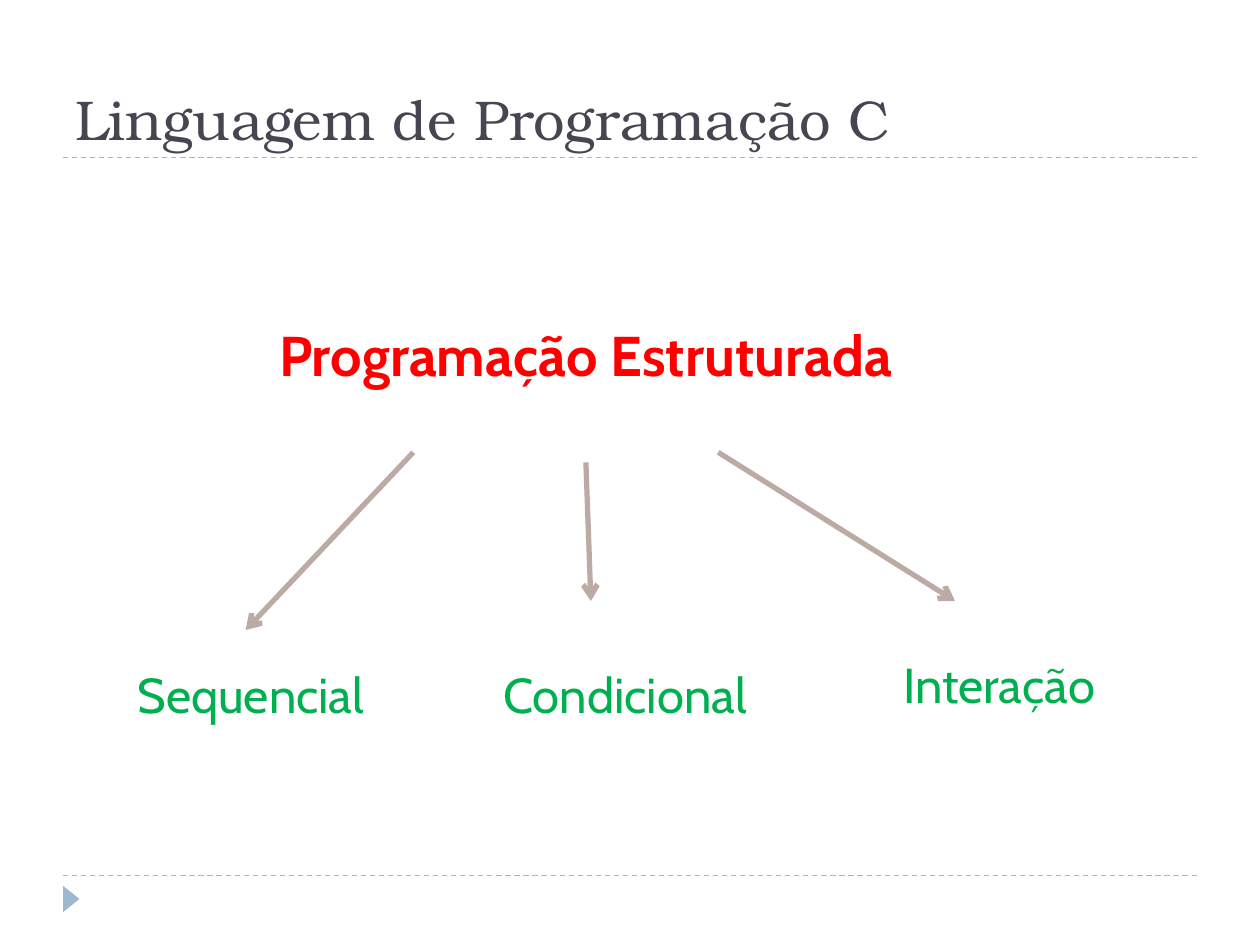
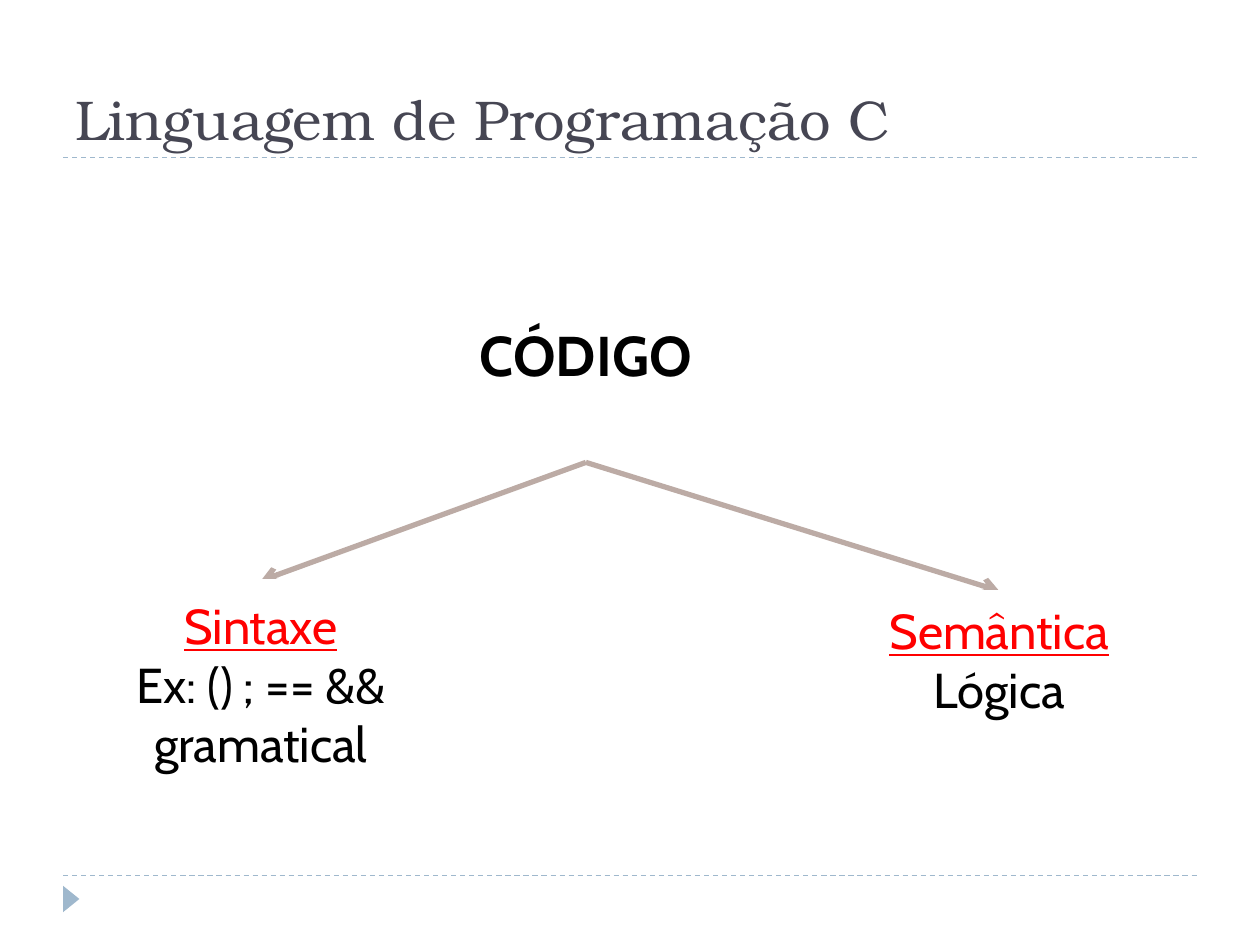
from lxml import etree
from pptx import Presentation
from pptx.dml.color import RGBColor
from pptx.enum.dml import MSO_LINE
from pptx.enum.shapes import MSO_CONNECTOR, MSO_SHAPE
from pptx.enum.text import MSO_ANCHOR, PP_ALIGN
from pptx.oxml.ns import qn
from pptx.util import Inches, Pt

STRAIGHT = MSO_CONNECTOR.STRAIGHT
RECTANGLE, TRIANGLE = MSO_SHAPE.RECTANGLE, MSO_SHAPE.ISOSCELES_TRIANGLE
DASH = MSO_LINE.DASH
BOTTOM, MIDDLE = MSO_ANCHOR.BOTTOM, MSO_ANCHOR.MIDDLE
LEFT, CENTER = PP_ALIGN.LEFT, PP_ALIGN.CENTER

WHITE, BLACK, RED, GREEN = "FFFFFF", "000000", "FF0000", "00B050"
TITLE_COLOR, RULE_COLOR, ARROW_COLOR = "464653", "9FB8CD", "BCABA5"
TITLE_FONT, BODY_FONT = "TeX Gyre Bonum", "Cabin"
TITLE = "Linguagem de Programação C"
BOX_WIDTH = 2.58


def rgb(value):
    return RGBColor.from_string(value)


class Deck:
    """Builds the slides of the deck in one shared style."""

    def __init__(self):
        self.prs = Presentation()
        self.prs.slide_width, self.prs.slide_height = Inches(10), Inches(7.5)
        self.s = None

    def slide(self, heading, color):
        self.s = self.prs.slides.add_slide(self.prs.slide_layouts[6])
        for y in (6.95, 1.25):
            self.line((0.5, y), (9.5, y), RULE_COLOR, 0.75).line.dash_style = DASH
        self.marker()
        self.title()
        self.box(1.25, 1.95, 6.8, 1.72, [(heading, color)], size=32, bold=True)

    def line(self, start, end, color, width):
        cx = self.s.shapes.add_connector(STRAIGHT, *map(Inches, start + end))
        cx.line.color.rgb = rgb(color)
        cx.line.width = Pt(width)
        etree.SubElement(cx._element.spPr, qn("a:effectLst"))
        return cx

    def arrow(self, start, end):
        cx = self.line(start, end, ARROW_COLOR, 3)
        etree.SubElement(cx.line._get_or_add_ln(), qn("a:tailEnd"), type="arrow")

    def shape(self, kind, x, y, w, h, fill):
        sp = self.s.shapes.add_shape(kind, *map(Inches, (x, y, w, h)))
        sp.shadow.inherit = False
        sp.fill.solid()
        sp.fill.fore_color.rgb = rgb(fill)
        return sp

    def marker(self):
        sp = self.shape(TRIANGLE, 0.46, 7.07, 0.21, 0.13, RULE_COLOR)
        sp.line.fill.background()
        sp.rotation = 90

    def title(self):
        sp = self.s.shapes.add_textbox(*map(Inches, (0.5, 0.17, 9, 1.08)))
        self.text(sp, [(TITLE, TITLE_COLOR)], 32, TITLE_FONT, LEFT, BOTTOM)

    def box(self, x, y, w, h, lines, size=28, bold=False):
        sp = self.shape(RECTANGLE, x, y, w, h, WHITE)
        sp.line.color.rgb = rgb(WHITE)
        sp.line.width = Pt(1.5)
        self.text(sp, lines, size, BODY_FONT, CENTER, MIDDLE, bold)

    def text(self, sp, lines, size, font, align, anchor, bold=False):
        tf = sp.text_frame
        tf.word_wrap = True
        tf.vertical_anchor = anchor
        tf.text = "\n".join(text for text, _ in lines)
        for p, (_, color) in zip(tf.paragraphs, lines):
            p.alignment = align
            r = p.runs[0]
            r.font.name, r.font.size, r.font.bold = font, Pt(size), bold
            r.font.color.rgb = rgb(color)
            r.font.underline = len(lines) > 1 and color == RED


deck = Deck()

deck.slide("Programação Estruturada", RED)
deck.arrow((5.7, 3.59), (7.58, 4.77))
deck.arrow((3.28, 3.59), (1.95, 5))
deck.arrow((4.65, 3.67), (4.69, 4.77))
structures = [("Sequencial", 5.08), ("Condicional", 5.08), ("Interação", 5)]
for i, (name, y) in enumerate(structures):
    deck.box(0.7 + 2.97 * i, y, BOX_WIDTH, 0.86, [(name, GREEN)])

deck.slide("CÓDIGO", BLACK)
deck.arrow((4.65, 3.67), (7.93, 4.69))
deck.arrow((4.65, 3.67), (2.07, 4.61))
deck.box(0.78, 4.61, BOX_WIDTH, 1.64,
         [("Sintaxe", RED), ("Ex: () ; == &&", BLACK), ("gramatical", BLACK)])
deck.box(6.64, 4.69, BOX_WIDTH, 1.09, [("Semântica", RED), ("Lógica", BLACK)])

deck.prs.save("out.pptx")
